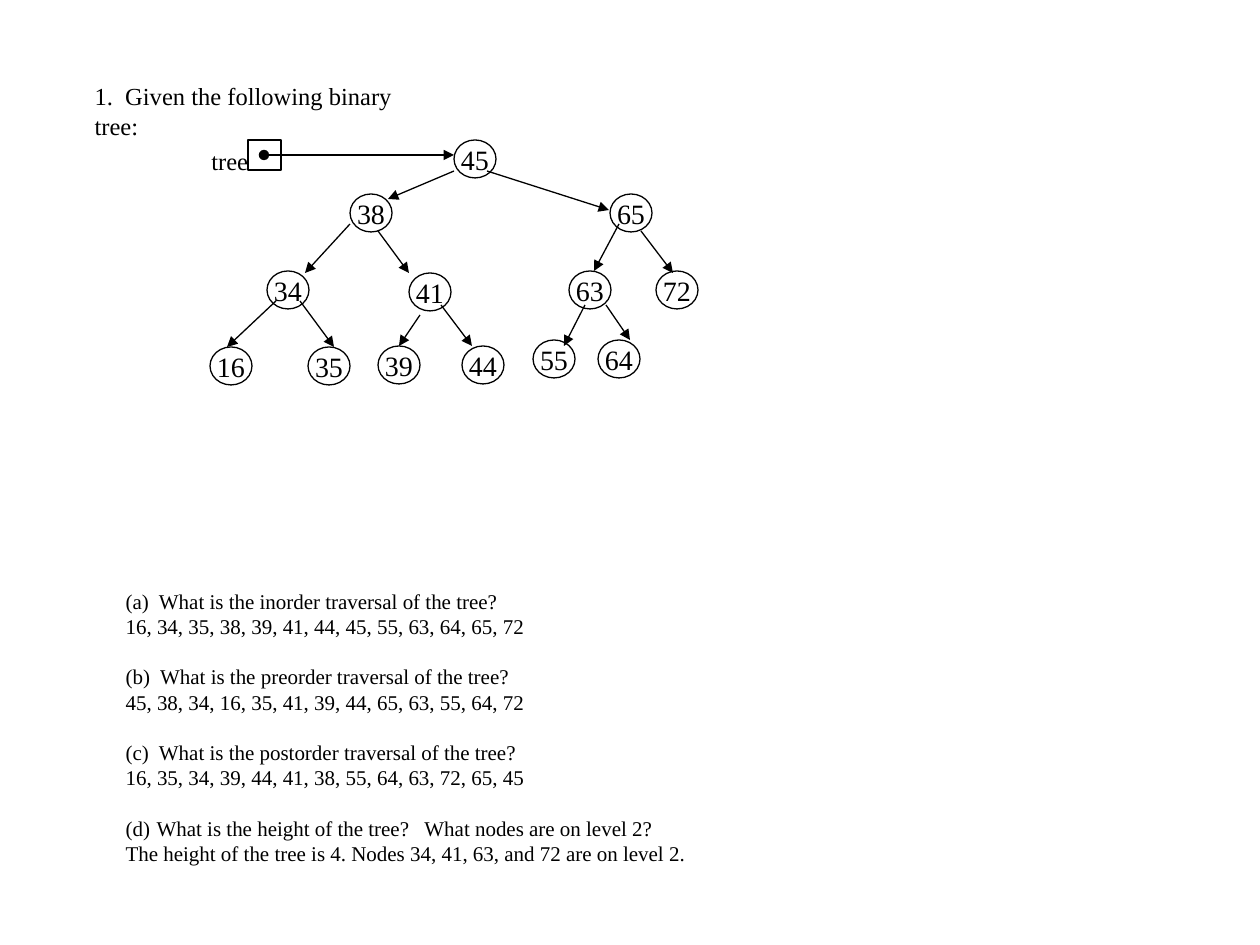
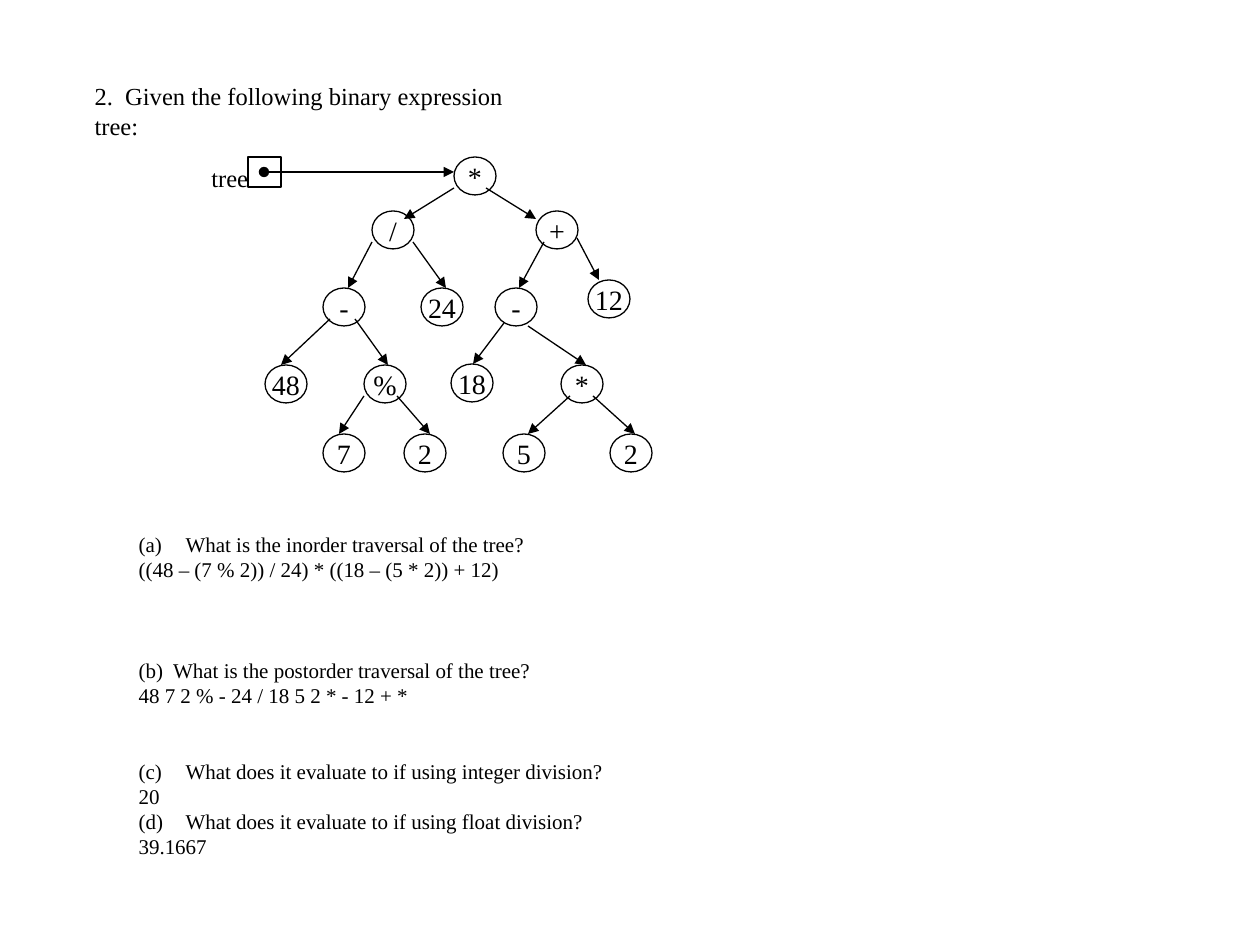
"""Build two slides of binary tree exercises with their answers."""
from lxml import etree
from pptx import Presentation
from pptx import util as u
from pptx.dml.color import RGBColor
from pptx.enum import shapes, text
from pptx.oxml import ns

COLORS = {"ink": "000000", "paper": "FFFFFF"}
FONT = "Times New Roman"
PX = 914400 / 126
NODE_W, NODE_H = 42, 38
BOX_W, BOX_H = 33, 30
POINTER_SPAN = 206

NODE_FIELDS = ("label", "at", "parent", "leave", "enter")
SLIDES = [
    {
        "title": ("1.  Given the following binary tree:", 372),
        "nodes": [
            ("45", (454, 140)),
            ("38", (350, 194), 0, (0, 31), (38, 5)),
            ("65", (610, 194), 0, (33, 31), (-1, 16)),
            ("34", (267, 271), 1, (0, 30), (38, 2)),
            ("41", (409, 273), 1, (28, 37), (0, 0)),
            ("63", (569, 271), 2, (9, 30), (25, 0)),
            ("72", (656, 271), 2, (31, 37), (17, 2)),
            ("16", (210, 347), 3, (9, 30), (17, 0)),
            ("35", (308, 347), 3, (33, 30), (26, 0)),
            ("39", (378, 346), 4, (11, 42), (21, 0)),
            ("44", (462, 346), 4, (32, 32), (10, 0)),
            ("55", (533, 340), 5, (16, 34), (31, 6)),
            ("64", (598, 340), 5, (37, 34), (32, 0)),
        ],
        "body": (113, 582, 921, 292),
        "answers": [
            {"q": "(a)  What is the inorder traversal of the tree?",
             "a": "16, 34, 35, 38, 39, 41, 44, 45, 55, 63, 64, 65, 72"},
            {"q": "(b)  What is the preorder traversal of the tree?", "gap": 1,
             "a": "45, 38, 34, 16, 35, 41, 39, 44, 65, 63, 55, 64, 72"},
            {"q": "(c)  What is the postorder traversal of the tree?", "gap": 1,
             "a": "16, 35, 34, 39, 44, 41, 38, 55, 64, 63, 72, 65, 45"},
            {"q": "What is the height of the tree?   What nodes are on level 2?",
             "gap": 1, "number": 4, "hang": 31,
             "a": "The height of the tree is 4. Nodes 34, 41, 63, and 72 are on level 2."},
        ],
    },
    {
        "title": ("2.  Given the following binary expression tree:", 483),
        "nodes": [
            ("*", (454, 157)),
            ("/", (372, 211), 0, (0, 31), (32, 8)),
            ("+", (536, 211), 0, (32, 31), (0, 8)),
            ("-", (323, 288), 1, (0, 31), (25, 0)),
            ("24", (421, 288), 1, (41, 31), (25, 0)),
            ("-", (495, 288), 2, (8, 31), (24, 0)),
            ("12", (588, 280), 2, (41, 27), (11, 0)),
            ("48", (265, 365), 3, (7, 31), (16, 0)),
            ("%", (364, 365), 3, (32, 31), (24, 0)),
            ("18", (451, 364), 5, (9, 35), (22, 0)),
            ("*", (561, 365), 5, (33, 38), (25, 0)),
            ("7", (323, 434), 8, (0, 31), (16, 0)),
            ("2", (404, 434), 8, (33, 31), (26, 0)),
            ("5", (503, 434), 10, (9, 31), (25, 0)),
            ("2", (610, 434), 10, (32, 31), (25, 0)),
        ],
        "body": (126, 525, 496, 394),
        "answers": [
            {"q": "What is the inorder traversal of the tree?", "number": 1, "hang": 47,
             "a": "((48 – (7 % 2)) / 24) * ((18 – (5 * 2)) + 12)"},
            {"q": "(b)  What is the postorder traversal of the tree?", "gap": 3,
             "a": "48 7 2 % - 24 / 18 5 2 * - 12 + *"},
            {"q": "What does it evaluate to if using integer division?",
             "gap": 2, "number": 3, "hang": 47, "a": "20"},
            {"q": "What does it evaluate to if using float division?",
             "number": 4, "hang": 47, "a": "39.1667"},
        ],
    },
]


def px(*values):
    return [u.Emu(round(v * PX)) for v in values]


def color(name):
    return RGBColor.from_string(COLORS[name])


def write(p, words, size=12, align=text.PP_ALIGN.LEFT, gap=0, number=None, hang=0):
    r = p.add_run()
    r.text = words
    r.font.name, r.font.size = FONT, u.Pt(size)
    r.font.color.rgb = color("ink")
    p.alignment = align
    p.line_spacing = u.Pt(size * 1.2)
    p.space_before, p.space_after = u.Pt(size * 1.2 * gap), u.Pt(0)
    pPr = p._p.get_or_add_pPr()
    pPr.set("marL", str(px(hang)[0]))
    pPr.set("indent", str(px(-hang)[0]))
    if number:
        etree.SubElement(pPr, ns.qn("a:buAutoNum"), type="alphaLcParenBoth", startAt=str(number))
    else:
        etree.SubElement(pPr, ns.qn("a:buNone"))


def place(sp, left, top, width, height):
    sp.left, sp.top, sp.width, sp.height = px(left, top, width, height)
    tf = sp.text_frame
    tf.word_wrap = True
    tf.auto_size = text.MSO_AUTO_SIZE.NONE
    tf.vertical_anchor = text.MSO_ANCHOR.TOP
    return tf


def outline(group, kind, *area):
    sp = group.shapes.add_shape(kind, *px(*area))
    sp.shadow.inherit = False
    sp.fill.background()
    sp.line.color.rgb, sp.line.width = color("ink"), u.Pt(0.75)
    return sp


def draw_node(group, label, left, top):
    tf = outline(group, shapes.MSO_SHAPE.OVAL, left, top, NODE_W, NODE_H).text_frame
    tf.word_wrap = False
    tf.vertical_anchor = text.MSO_ANCHOR.MIDDLE
    write(tf.paragraphs[0], label, size=16, align=text.PP_ALIGN.CENTER)


def arrow(group, *ends, head=None):
    c = group.shapes.add_connector(shapes.MSO_CONNECTOR.STRAIGHT, *px(*ends))
    c.line.color.rgb, c.line.width = color("ink"), u.Pt(0.75)
    ln = c.line._get_or_add_ln()
    if head:
        etree.SubElement(ln, ns.qn("a:headEnd"), type=head)
    etree.SubElement(ln, ns.qn("a:tailEnd"), type="triangle")
    etree.SubElement(c._element.spPr, ns.qn("a:effectLst"))


def shift(point, offset):
    return point[0] + offset[0], point[1] + offset[1]


def draw_tree(s, rows):
    group = s.shapes.add_group_shape()
    nodes = [dict(zip(NODE_FIELDS, row)) for row in rows]
    for n in nodes:
        draw_node(group, n["label"], *n["at"])
    for n in nodes[1:]:
        start = shift(nodes[n["parent"]]["at"], n["leave"])
        arrow(group, *start, *shift(n["at"], n["enter"]))
    root, top = nodes[0]["at"]
    left = root - POINTER_SPAN
    outline(group, shapes.MSO_SHAPE.RECTANGLE, left, top, BOX_W, BOX_H)
    tf = group.shapes.add_textbox(*px(left - 49, top, 62, 42)).text_frame
    tf.word_wrap = False
    write(tf.paragraphs[0], "tree", size=14)
    mid = top + BOX_H // 2
    arrow(group, left + BOX_W // 2, mid, root, mid, head="oval")


prs = Presentation()
prs.slide_width, prs.slide_height = u.Inches(10), u.Inches(7.5)
for page in SLIDES:
    s = prs.slides.add_slide(prs.slide_layouts[1])
    s.background.fill.solid()
    s.background.fill.fore_color.rgb = color("paper")
    title, width = page["title"]
    tf = place(s.shapes.title, 82, 75, width, 42)
    write(tf.paragraphs[0], title, size=14)
    tf = place(s.placeholders[1], *page["body"])
    for i, item in enumerate(page["answers"]):
        p = tf.add_paragraph() if i else tf.paragraphs[0]
        write(p, item["q"], gap=item.get("gap", 0),
              number=item.get("number"), hang=item.get("hang", 0))
        write(tf.add_paragraph(), item["a"])
    draw_tree(s, page["nodes"])
prs.save("out.pptx")
